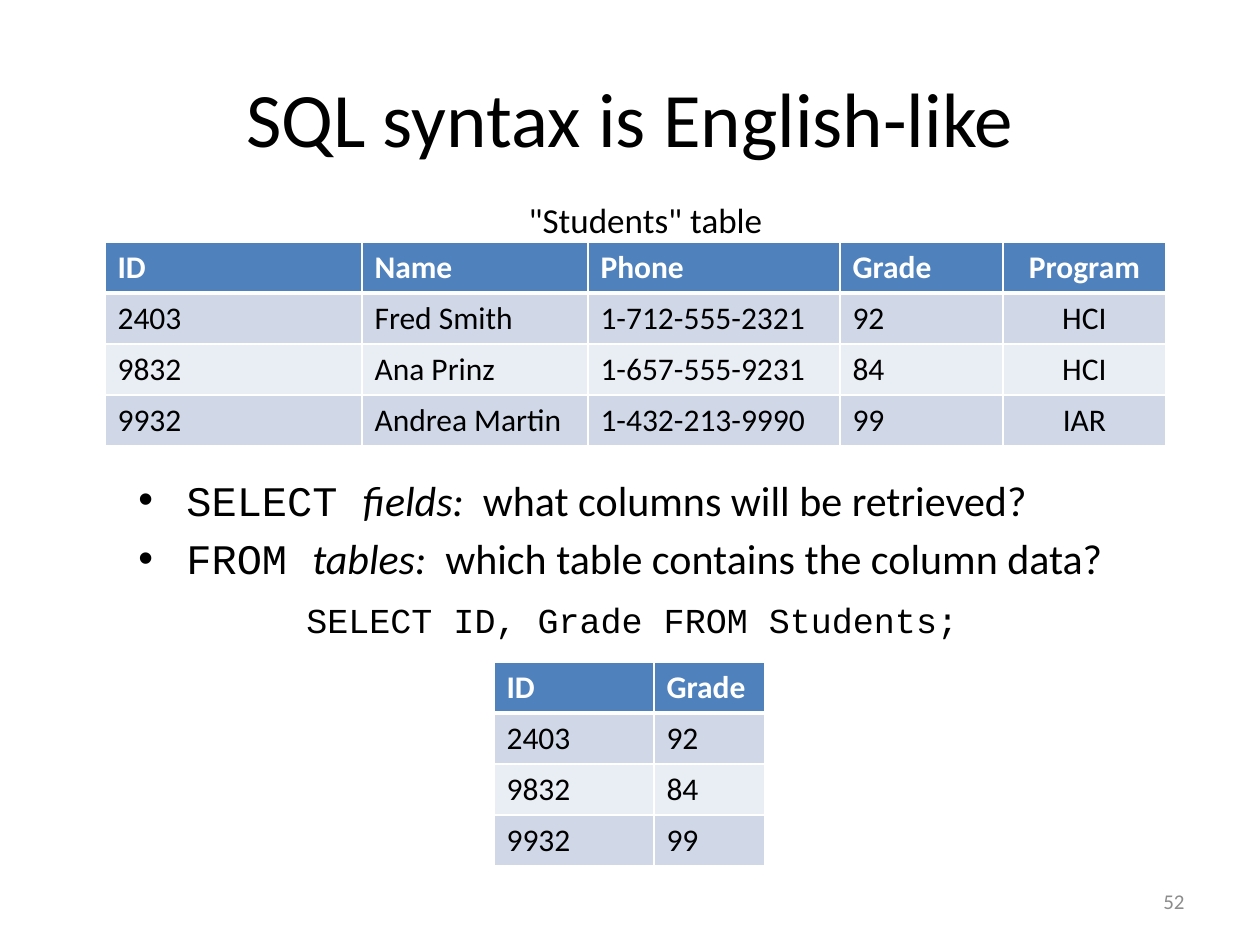
from dataclasses import dataclass

from lxml import etree
from pptx import Presentation
from pptx.dml.color import RGBColor
from pptx.enum import text
from pptx.oxml import ns
from pptx import util as u

PIXEL = u.Inches(1) / 126
LEFT, CENTER, RIGHT = text.PP_ALIGN.LEFT, text.PP_ALIGN.CENTER, text.PP_ALIGN.RIGHT


def px(*lengths):
    return [u.Emu(round(length * PIXEL)) for length in lengths]


@dataclass(frozen=True)
class Theme:
    sans: str = "Calibri"
    mono: str = "Courier New"
    ink: str = "000000"
    muted: str = "8C8C8C"
    paper: str = "FFFFFF"
    header: str = "4F81BD"
    bands: tuple = ("D0D8E8", "E9EDF4")
    title_size: int = 44
    bullet_size: int = 24
    note_size: int = 20
    cell_size: int = 18
    number_size: int = 12


class SlideBuilder:
    def __init__(self, slide, theme):
        self.slide = slide
        self.theme = theme

    def style(self, run, size, color=None, font=None, bold=False, italic=False):
        run.font.name = font or self.theme.sans
        run.font.size = u.Pt(size)
        run.font.bold = bold
        run.font.italic = italic
        run.font.color.rgb = RGBColor.from_string(color or self.theme.ink)

    def title(self, words, box):
        heading = self.slide.shapes.title
        heading.left, heading.top, heading.width, heading.height = px(*box)
        frame = heading.text_frame
        frame.text = words
        frame.vertical_anchor = text.MSO_ANCHOR.MIDDLE
        frame.paragraphs[0].alignment = CENTER
        self.style(frame.paragraphs[0].runs[0], self.theme.title_size)

    def frame(self, box):
        frame = self.slide.shapes.add_textbox(*px(*box)).text_frame
        frame.word_wrap = True
        return frame

    def line(self, words, box, size, align=LEFT, anchor=text.MSO_ANCHOR.TOP, **look):
        frame = self.frame(box)
        frame.text = words
        frame.vertical_anchor = anchor
        frame.paragraphs[0].alignment = align
        self.style(frame.paragraphs[0].runs[0], size, **look)

    def bullets(self, clauses, box, indent):
        frame = self.frame(box)
        looks = ({"font": self.theme.mono}, {"italic": True}, {})
        for index, clause in enumerate(clauses):
            paragraph = frame.add_paragraph() if index else frame.paragraphs[0]
            paragraph.space_before = u.Pt(self.theme.bullet_size * 0.2)
            for words, look in zip(clause, looks):
                run = paragraph.add_run()
                run.text = words
                self.style(run, self.theme.bullet_size, **look)
            hang = px(indent)[0]
            properties = paragraph._p.get_or_add_pPr()
            properties.set("marL", str(hang))
            properties.set("indent", str(-hang))
            etree.SubElement(properties, ns.qn("a:buFont")).set("typeface", "Arial")
            etree.SubElement(properties, ns.qn("a:buChar")).set("char", "•")

    def borders(self, cell, row):
        properties = cell._tc.get_or_add_tcPr()
        widths = {"lnL": 1, "lnR": 1, "lnT": 3 if row == 1 else 1, "lnB": 1 if row else 3}
        for index, (side, width) in enumerate(widths.items()):
            edge = etree.Element(ns.qn(f"a:{side}"), w=str(u.Pt(width)))
            fill = etree.SubElement(edge, ns.qn("a:solidFill"))
            etree.SubElement(fill, ns.qn("a:srgbClr")).set("val", self.theme.paper)
            properties.insert(index, edge)

    def table(self, records, corner, columns, row_height, centered=()):
        box = px(*corner, sum(columns), row_height * len(records))
        grid = self.slide.shapes.add_table(len(records), len(columns), *box).table
        for column, width in zip(grid.columns, px(*columns)):
            column.width = width
        for row, record in enumerate(records):
            grid.rows[row].height = px(row_height)[0]
            shade = self.theme.bands[(row - 1) % 2] if row else self.theme.header
            color = self.theme.ink if row else self.theme.paper
            for column, value in enumerate(record):
                cell = grid.cell(row, column)
                cell.text_frame.text = value
                paragraph = cell.text_frame.paragraphs[0]
                paragraph.alignment = CENTER if column in centered else LEFT
                self.style(paragraph.runs[0], self.theme.cell_size, color, bold=row == 0)
                cell.fill.solid()
                cell.fill.fore_color.rgb = RGBColor.from_string(shade)
                self.borders(cell, row)


students = [
    ("ID", "Name ", "Phone", "Grade", "Program"),
    ("2403", "Fred Smith", "1-712-555-2321", "92", "HCI"),
    ("9832", "Ana Prinz", "1-657-555-9231", "84", "HCI"),
    ("9932", "Andrea Martin", "1-432-213-9990", "99", "IAR"),
]
query_result = [(student[0], student[3]) for student in students]
clauses = [
    ("SELECT ", "fields:  ", "what columns will be retrieved?"),
    ("FROM ", "tables:  ", "which table contains the column data?"),
]

deck = Presentation()
deck.slide_width, deck.slide_height = px(1260, 945)
theme = Theme()
page = SlideBuilder(deck.slides.add_slide(deck.slide_layouts[5]), theme)

page.title("SQL syntax is English-like", (63, 38, 1134, 158))
page.line("52", (903, 876, 294, 50), theme.number_size, RIGHT,
          text.MSO_ANCHOR.MIDDLE, color=theme.muted)
page.bullets(clauses, (126, 468, 1071, 125), 48)
page.line("SELECT ID, Grade FROM Students;", (294, 592, 703, 60), theme.note_size,
          font=theme.mono)
page.table(students, (105, 242, ), (257, 226, 252, 163, 163), 51, centered=(4,))
page.line('"Students" table', (294, 192, 703, 60), theme.note_size, CENTER)
page.table(query_result, (494, 662), (160, 111), 51)

deck.save("out.pptx")
